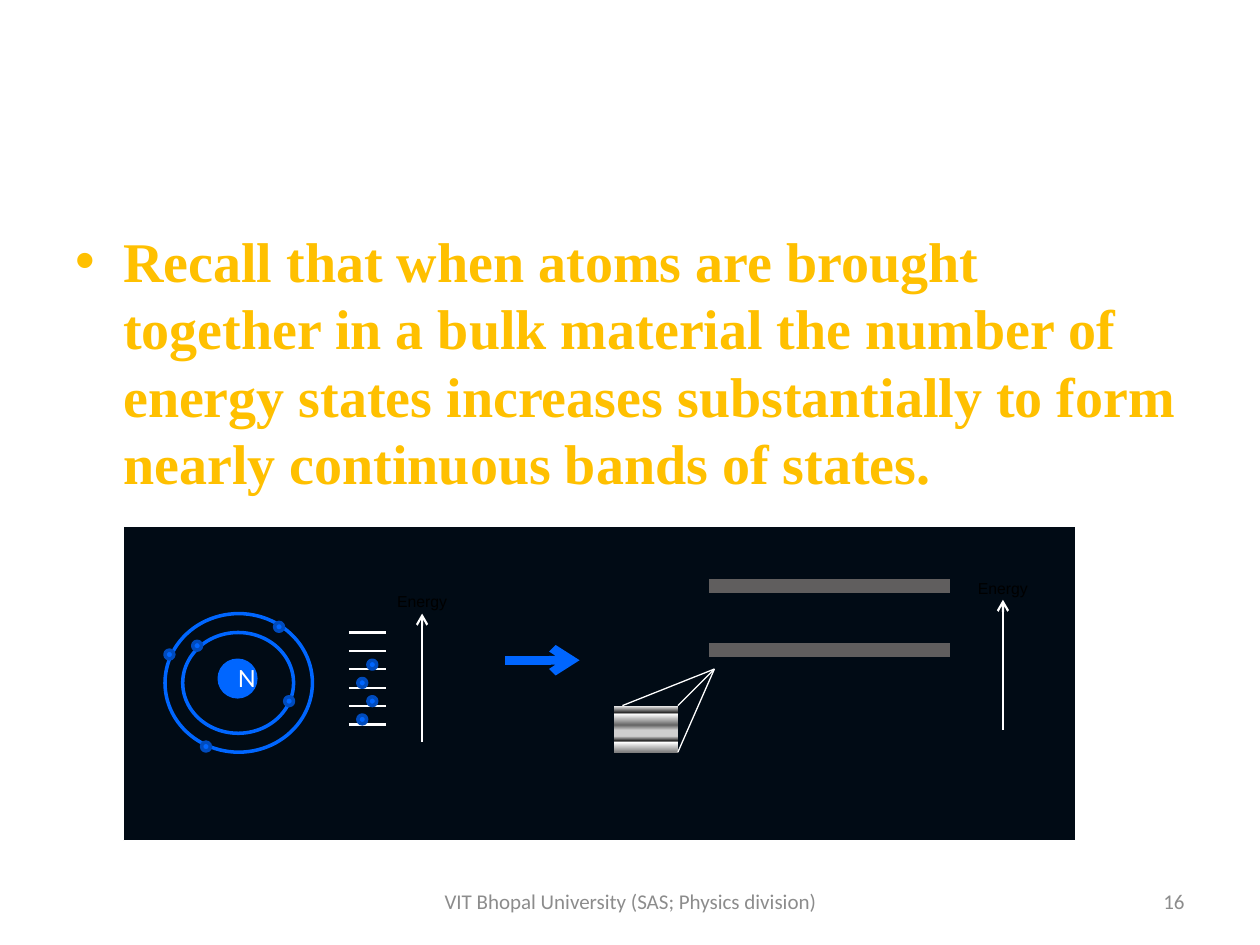
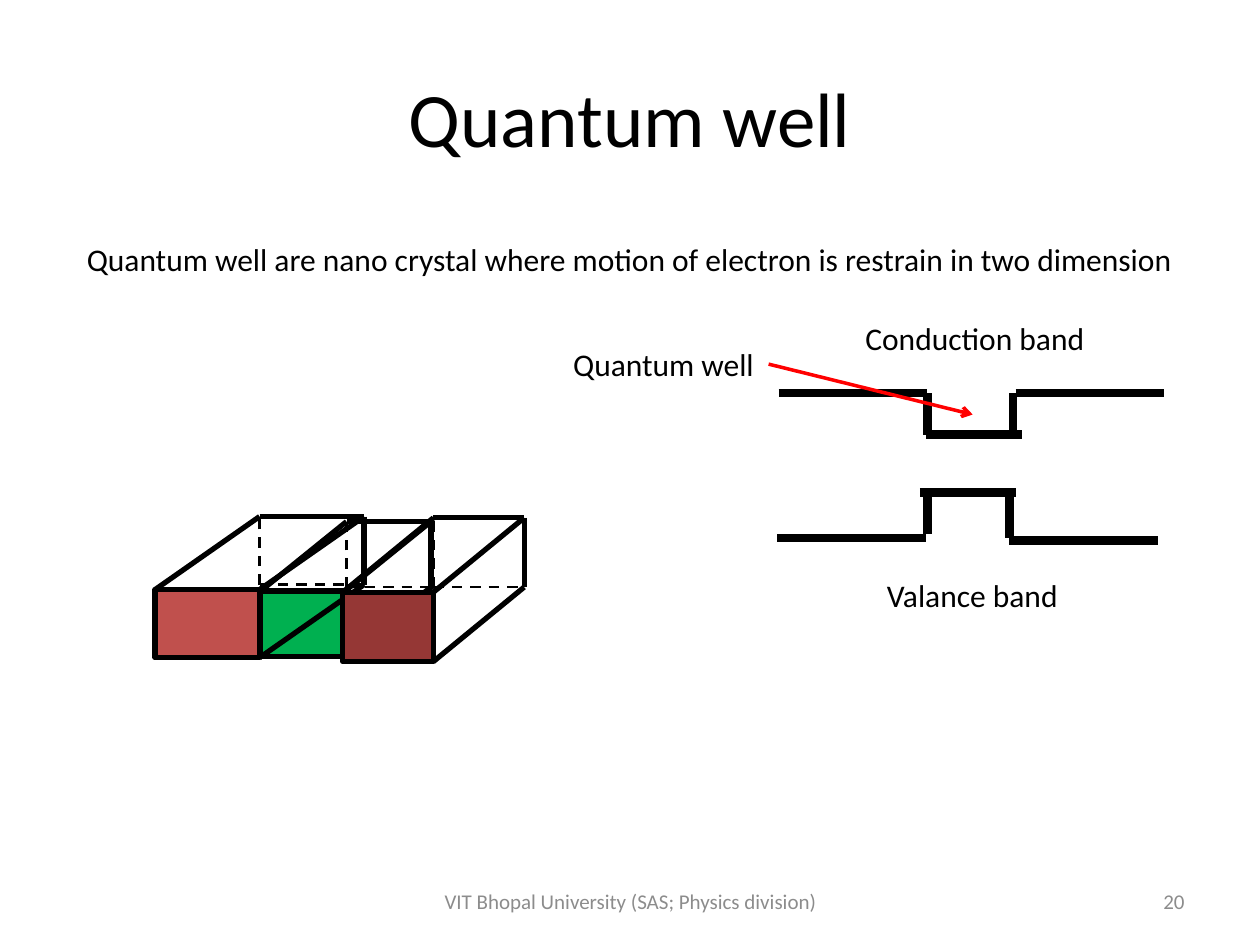
import pptx
import pptx.util
import pptx.dml.color
import pptx.enum.dml
import pptx.enum.shapes
import pptx.enum.text
from pptx.oxml.ns import qn
from lxml import etree

Inches = pptx.util.Inches
Pt = pptx.util.Pt
Align = pptx.enum.text.PP_ALIGN
Anchor = pptx.enum.text.MSO_ANCHOR
Preset = pptx.enum.shapes.MSO_SHAPE

BLACK, WHITE, GREY, GOLD, RED = "000000", "FFFFFF", "8C8C8C", "FFC000", "FF0000"
BLUE, DEEP_BLUE, NIGHT, BAND_GREY = "0066FF", "004BBD", "010B15", "605E5E"
BAND_STOPS = [(0, WHITE), (16, "1F1F1F"), (18, WHITE), (42, "636363"), (53, "CFCFCF"),
              (66, "CFCFCF"), (76, "1F1F1F"), (79, WHITE), (100, "7F7F7F")]


def rgb(value):
    return pptx.dml.color.RGBColor.from_string(value)


class Deck:
    """Holds the shared style and the slide being drawn."""

    font = "Calibri"

    def __init__(self):
        self.show = pptx.Presentation()
        self.show.slide_width, self.show.slide_height = Inches(10), Inches(7.5)
        self.slide = None

    def new_slide(self, number):
        self.slide = self.show.slides.add_slide(self.show.slide_layouts[6])
        self.slide.background.fill.solid()
        self.slide.background.fill.fore_color.rgb = rgb(WHITE)
        self.text("VIT Bhopal University (SAS; Physics division)", 3.42, 6.95, 3.17, 0.4,
                  12, GREY, Align.CENTER, Anchor.MIDDLE)
        self.text(number, 7.17, 6.95, 2.33, 0.4, 12, GREY, Align.RIGHT, Anchor.MIDDLE)

    def run(self, paragraph, words, size, color, font=None, bold=False):
        run = paragraph.add_run()
        run.text = words
        run.font.name = font or self.font
        run.font.size = Pt(size)
        run.font.bold = bold
        run.font.color.rgb = rgb(color)

    def text(self, words, left, top, width, height, size=18, color=BLACK, align=Align.LEFT,
             anchor=Anchor.TOP, font=None, bold=False, wrap=True):
        box = self.slide.shapes.add_textbox(
            Inches(left), Inches(top), Inches(width), Inches(height))
        frame = box.text_frame
        frame.word_wrap = wrap
        frame.vertical_anchor = anchor
        paragraph = frame.paragraphs[0]
        paragraph.alignment = align
        self.run(paragraph, words, size, color, font, bold)
        return paragraph

    def label(self, words, left, top, width):
        self.text(words, left, top, width, 0.4, wrap=False)

    def bullet(self, words, left, top, width, height, size, color, font):
        paragraph = self.text(words, left, top, width, height, size, color,
                              font=font, bold=True)
        properties = paragraph._p.get_or_add_pPr()
        properties.set("marL", str(Inches(0.38)))
        properties.set("indent", str(-Inches(0.38)))
        etree.SubElement(properties, qn("a:buFont"), typeface="Arial")
        etree.SubElement(properties, qn("a:buChar"), char="•")

    def shape(self, preset, left, top, width, height, fill=None, line=None, weight=2):
        shape = self.slide.shapes.add_shape(
            preset, Inches(left), Inches(top), Inches(width), Inches(height))
        shape.shadow.inherit = False
        if fill:
            shape.fill.solid()
            shape.fill.fore_color.rgb = rgb(fill)
        else:
            shape.fill.background()
        if line:
            shape.line.color.rgb = rgb(line)
            shape.line.width = Pt(weight)
        else:
            shape.line.fill.background()
        return shape

    def gradient(self, shape, stops):
        """Fill a shape from top to bottom with (percent, colour) stops."""
        shape.fill.gradient()
        shape.fill.gradient_angle = 270
        stop_list = shape._element.spPr.find(qn("a:gradFill")).find(qn("a:gsLst"))
        for old in list(stop_list):
            stop_list.remove(old)
        for percent, color in stops:
            stop = etree.SubElement(stop_list, qn("a:gs"), pos=str(percent * 1000))
            etree.SubElement(stop, qn("a:srgbClr"), val=color)

    def line(self, start, end, color=BLACK, weight=3.0, dashed=False, arrow=False):
        line = self.slide.shapes.add_connector(
            pptx.enum.shapes.MSO_CONNECTOR.STRAIGHT, Inches(start[0]), Inches(start[1]),
            Inches(end[0]), Inches(end[1]))
        line.line.color.rgb = rgb(color)
        line.line.width = Pt(weight)
        if dashed:
            line.line.dash_style = pptx.enum.dml.MSO_LINE.DASH
        if arrow:
            etree.SubElement(line.line._get_or_add_ln(), qn("a:tailEnd"), type="arrow")
        etree.SubElement(line._element.spPr, qn("a:effectLst"))

    def electron(self, left, top):
        self.shape(Preset.OVAL, left, top, 0.07, 0.07, BLUE, DEEP_BLUE)

    def energy_axis(self, x, top, bottom):
        self.line((x, bottom), (x, top), WHITE, 1.25, arrow=True)
        self.text("Energy", x - 0.4, top - 0.23, 0.8, 0.27, 9, BLACK, Align.CENTER,
                  Anchor.MIDDLE, "Arial")

    def cuboid(self, left, top, width, height, depth, rise, fill):
        """Draw a block whose back face lies depth to the right and rise above the front."""
        right, bottom = left + width, top + height
        back_left, back_right = left + depth, right + depth
        back_top, back_bottom = top - rise, bottom - rise
        self.line((left, bottom), (back_left, back_bottom), weight=1.5, dashed=True)
        self.line((back_left, back_bottom), (back_left, back_top), weight=1.5, dashed=True)
        self.line((right, top), (back_right, back_top))
        self.line((back_left, back_top), (back_right, back_top))
        self.line((right, bottom), (back_right, back_bottom))
        self.line((back_right, back_top), (back_right, back_bottom))
        self.shape(Preset.RECTANGLE, left, top, width, height, fill, BLACK, 3)
        self.line((back_left, back_bottom), (back_right, back_bottom), weight=1.5, dashed=True)
        self.line((left, top), (back_left, back_top))


def bulk_bands(deck):
    deck.new_slide("16")
    deck.bullet("Recall that when atoms are brought together in a bulk material the number of "
                "energy states increases substantially to form nearly continuous bands of "
                "states.", 0.5, 1.75, 9, 4.95, 32, GOLD, "Times New Roman")
    deck.shape(Preset.RECTANGLE, 0.98, 4.18, 7.56, 2.49, NIGHT, WHITE, 0.75)

    nucleus = deck.shape(Preset.OVAL, 1.74, 5.24, 0.29, 0.29, BLUE, BLUE)
    frame = nucleus.text_frame
    frame.word_wrap = False
    frame.vertical_anchor = Anchor.MIDDLE
    frame.margin_left, frame.margin_right = Inches(0.15), 0
    frame.paragraphs[0].alignment = Align.CENTER
    deck.run(frame.paragraphs[0], "N", 13.5, WHITE, "Lato")
    for orbit in ((1.31, 4.87, 1.17, 1.1), (1.45, 5.02, 0.88, 0.8)):
        deck.shape(Preset.OVAL, *orbit, line=BLUE)
    for place in ((1.53, 5.09), (2.26, 5.53), (1.31, 5.16), (1.6, 5.89), (2.18, 4.94)):
        deck.electron(*place)

    deck.line((4.01, 5.24), (4.6, 5.24), BLUE, 5, arrow=True)
    for level in range(6):
        y = 5.02 + 0.146 * level
        deck.line((2.77, y), (3.06, y), WHITE, 1.25)
    for row in range(4):
        deck.electron((2.92, 2.84)[row % 2], 5.24 + 0.145 * row)
    deck.energy_axis(3.35, 4.87, 5.89)

    for y in (4.65, 5.16):
        deck.line((5.63, y), (7.54, y), BAND_GREY, 8)
    close_up = deck.shape(Preset.RECTANGLE, 4.87, 5.6, 0.51, 0.37)
    deck.gradient(close_up, BAND_STOPS)
    for corner in ((4.94, 5.6), (5.38, 5.6), (5.38, 5.97)):
        deck.line(corner, (5.67, 5.31), WHITE, 0.75)
    deck.energy_axis(7.96, 4.76, 5.79)


def quantum_well(deck):
    deck.new_slide("20")
    deck.text("Quantum well", 0.5, 0.3, 9, 1.25, 44, BLACK, Align.CENTER, Anchor.MIDDLE)
    deck.label("Quantum well are nano crystal where motion of electron is restrain in two "
               "dimension", 0.59, 1.86, 8.92)

    deck.cuboid(2.07, 4.69, 0.67, 0.52, 0.68, 0.55, "00B050")
    deck.cuboid(1.23, 4.68, 0.83, 0.54, 0.83, 0.58, "C0504D")
    deck.cuboid(2.72, 4.7, 0.72, 0.55, 0.72, 0.59, "953735")

    for left, y, length in ((6.18, 3.12, 1.18), (6.17, 4.27, 1.18), (7.35, 3.45, 0.76),
                            (7.3, 3.91, 0.76), (8.01, 4.29, 1.18), (8.06, 3.12, 1.18)):
        deck.line((left, y), (left + length, y), weight=5)
    for x, top in ((7.36, 3.12), (7.36, 3.91), (8.04, 3.12), (8.01, 3.94)):
        deck.line((x, top), (x, top + 0.33), weight=5)

    deck.label("Conduction band", 6.77, 2.48, 1.96)
    deck.label("Valance band", 6.94, 4.52, 1.58)
    deck.label("Quantum well", 4.45, 2.69, 1.65)
    deck.line((6.1, 2.89), (7.72, 3.29), RED, 2, arrow=True)


def main():
    deck = Deck()
    bulk_bands(deck)
    quantum_well(deck)
    deck.show.save("out.pptx")


if __name__ == "__main__":
    main()
